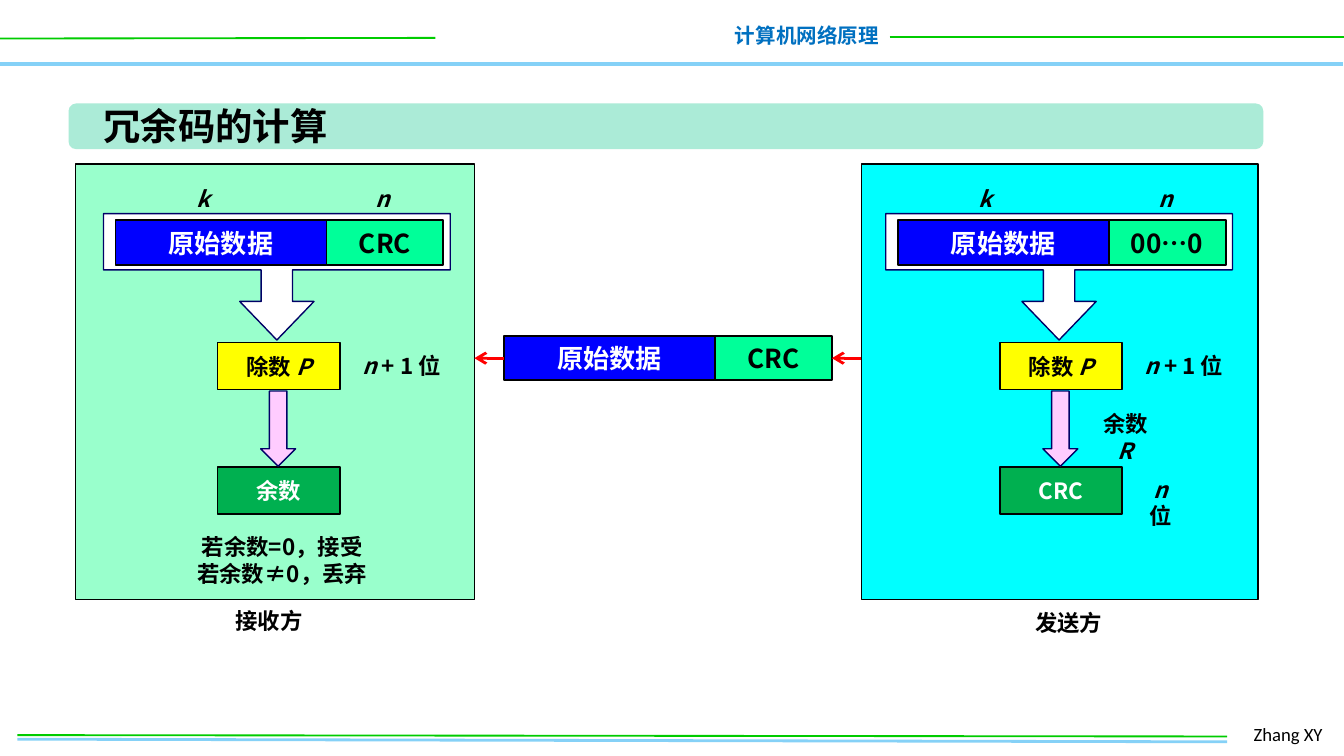
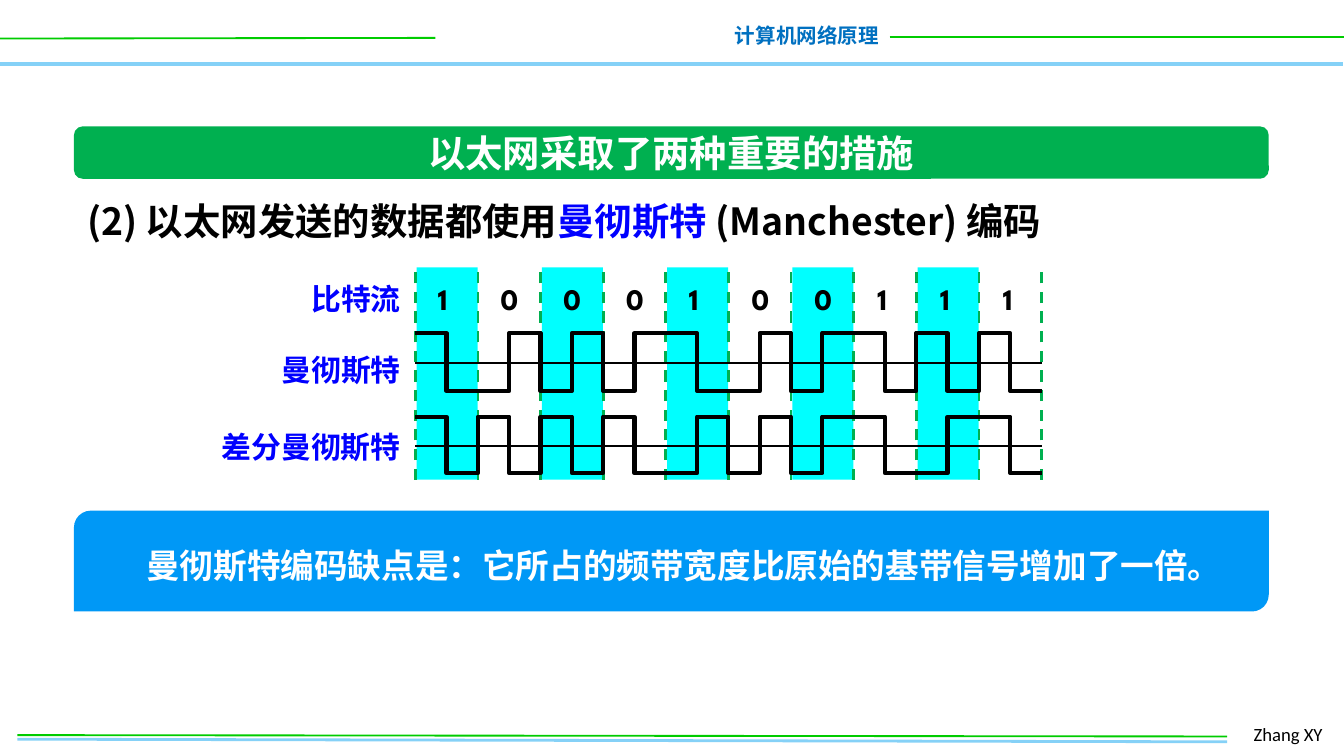
from dataclasses import dataclass, field
from itertools import accumulate
from typing import NamedTuple

from lxml import etree
from pptx import Presentation
from pptx.dml.color import RGBColor
from pptx.enum.dml import MSO_LINE as Dash
from pptx.enum.shapes import MSO_CONNECTOR as Conn, MSO_SHAPE as Kind
from pptx.enum.text import MSO_ANCHOR as Anchor, MSO_AUTO_SIZE as Auto, PP_ALIGN as Align
from pptx.oxml.ns import qn
from pptx.util import Emu, Inches, Pt

# Grid: 100 columns across 10 inches, square cells
CELL = Inches(10) / 100
COLS, ROWS = 100, 56.25

HAN, LATIN, DIGIT = "Noto Sans CJK SC", "Calibri", "League Spartan"
BLACK, WHITE, BLUE, CYAN = "000000", "FFFFFF", "0000FF", "00FFFF"
GREEN, LIME, SKY, MINT, NAVY = "00B050", "00CC00", "85D1F7", "00FF99", "000066"
RED, YELLOW, PINK, HEAD = "FF0000", "FFFF00", "FFCCFF", "0070C0"
BASE = {"size": Pt(12), "name": HAN, "bold": True, "italic": False}


class Box(NamedTuple):
    x: float
    y: float
    w: float
    h: float

    def move(self, dx: float):
        return self._replace(x=self.x + dx)


class Run(NamedTuple):
    text: str
    italic: bool = False
    color: str = ""


@dataclass
class Text:
    box: Box
    lines: list  # each line is a string or a list of runs
    align: Align = Align.LEFT
    wrap: bool = False
    color: str = BLACK
    pad: float = 1
    pitch: float = 0
    font: dict = field(default_factory=dict)


@dataclass
class Part:
    box: Box
    kind: Kind
    fill: str
    edge: str = ""
    width: float = 0.75
    adj: tuple = ()
    lines: tuple = ()
    color: str = BLACK
    size: float = 12


@dataclass
class Side:
    dx: float
    panel: Box
    fill: str
    check: str
    result: str
    name: Text


def cells(*vals: float) -> list:
    return [Emu(round(v * CELL)) for v in vals]


def rgb(code: str) -> RGBColor:
    return RGBColor.from_string(code)


def write(frame, lines, align: Align, color: str, font: dict, pitch: float = 0) -> None:
    for i, line in enumerate(lines):
        para = frame.paragraphs[0] if i == 0 else frame.add_paragraph()
        para.alignment = align
        if pitch:
            para.line_spacing = Pt(pitch)
        for part in [Run(line)] if isinstance(line, str) else line:
            run = para.add_run()
            run.text = part.text
            for key, val in {**BASE, **font, "italic": part.italic}.items():
                setattr(run.font, key, val)
            run.font.color.rgb = rgb(part.color or color)
            etree.SubElement(run.font._element, qn("a:ea")).set("typeface", HAN)


def label(slide, item: Text):
    shape = slide.shapes.add_textbox(*cells(*item.box))
    frame = shape.text_frame
    frame.word_wrap = item.wrap
    frame.auto_size = Auto.SHAPE_TO_FIT_TEXT
    frame.margin_left, frame.margin_right = cells(item.pad, item.pad)
    write(frame, item.lines, item.align, item.color, item.font, item.pitch)
    return shape


def draw(slide, item: Part):
    shape = slide.shapes.add_shape(item.kind, *cells(*item.box))
    shape.shadow.inherit = False
    shape.fill.solid()
    shape.fill.fore_color.rgb = rgb(item.fill)
    if item.edge:
        shape.line.color.rgb = rgb(item.edge)
        shape.line.width = Pt(item.width)
    else:
        shape.line.fill.background()
    for i, val in enumerate(item.adj):
        shape.adjustments[i] = val
    if item.lines:
        shape.text_frame.vertical_anchor = Anchor.MIDDLE
        write(shape.text_frame, item.lines, Align.CENTER, item.color,
              {"size": Pt(item.size)})
    return shape


def rule(slide, ends: tuple, color: str, width: float, dash=None, arrow: bool = False):
    line = slide.shapes.add_connector(Conn.STRAIGHT, *cells(*ends))
    line.line.color.rgb = rgb(color)
    line.line.width = Pt(width)
    if dash:
        line.line.dash_style = dash
    if arrow:
        etree.SubElement(line.line._get_or_add_ln(), qn("a:tailEnd")).set("type", "arrow")
    etree.SubElement(line._element.spPr, qn("a:effectLst"))
    return line


def base(deck):
    """Blank slide with the shared header and footer."""
    slide = deck.slides.add_slide(deck.slide_layouts[6])
    for ends, color, width in (
        ((-0.1, 4.75, 99.9, 4.75), SKY, 2),
        ((0, 2.87, 32.4, 2.82), LIME, 1),
        ((66.2, 2.74, 100.1, 2.74), LIME, 1),
        ((1.3, 55, 91.3, 55.2), SKY, 1.5),
        ((1.3, 54.7, 91.3, 54.8), LIME, 1),
    ):
        rule(slide, ends, color, width)
    label(slide, Text(Box(53.6, 1.2, 12.8, 2.9), ["计算机网络原理"], Align.RIGHT,
                      color=HEAD, font={"size": Pt(11)}))
    label(slide, Text(Box(92.3, 53.3, 7.4, 2.7), ["Zhang XY"], wrap=True,
                      font={"size": Pt(10), "name": LATIN, "bold": False}))
    return slide


def title(slide, bar: Box, fill: str, text: Text) -> None:
    draw(slide, Part(bar, Kind.ROUNDED_RECTANGLE, fill, adj=(0.167,)))
    text.font = {"size": Pt(20)}
    label(slide, text)


def strip(slide, x: float, y: float, check: str) -> tuple:
    """Data block followed by its check bits."""
    data = draw(slide, Part(Box(x, y, 15.7, 3.3), Kind.RECTANGLE, BLUE, BLACK, 1,
                            lines=("原始数据",), color=WHITE, size=14))
    code = draw(slide, Part(Box(x + 15.7, y, 8.7, 3.3), Kind.RECTANGLE, MINT, BLACK, 1,
                            lines=(check,), size=14))
    return data, code


def flow(slide, side: Side) -> None:
    """Division steps inside one panel."""
    dx = side.dx
    for x, mark in ((12.5, "k"), (25.9, "n")):
        label(slide, Text(Box(x + dx, 13.3, 5.2, 3), [[Run(mark, True)]], Align.CENTER))
    for part in (
        Part(Box(16.2, 25.5, 9.1, 3.5), Kind.RECTANGLE, YELLOW, BLACK,
             lines=([Run("除数 "), Run("P", True)],)),
        Part(Box(7.7, 15.9, 25.8, 9.4), Kind.DOWN_ARROW_CALLOUT, WHITE, NAVY,
             adj=(0.249, 0.294, 0.305, 0.445)),
        Part(Box(16.2, 34.75, 9.1, 3.5), Kind.RECTANGLE, GREEN, BLACK,
             lines=(side.result,), color=WHITE),
        Part(Box(19.4, 29.1, 2.6, 5.6), Kind.DOWN_ARROW, PINK, NAVY),
    ):
        part.box = part.box.move(dx)
        draw(slide, part)
    strip(slide, 8.6 + dx, 16.4, side.check)
    label(slide, Text(Box(25.6 + dx, 25.7, 8.6, 3), [[Run("n", True), Run(" + 1 位")]],
                      Align.CENTER))
    label(slide, side.name)


def crc(deck) -> None:
    slide = base(deck)
    sides = (
        Side(58.2, Box(64.1, 12.2, 29.5, 32.4), CYAN, "00…0", "CRC",
             Text(Box(75.9, 44.8, 7.1, 3), ["发送方"], Align.RIGHT)),
        Side(0, Box(5.6, 12.2, 29.7, 32.4), "99FFCC", "CRC", "余数",
             Text(Box(16.4, 44.7, 7.1, 3), ["接收方"], Align.RIGHT)),
    )
    for side in sides:
        draw(slide, Part(side.panel, Kind.RECTANGLE, side.fill, BLACK))
    title(slide, Box(5.1, 7.7, 88.9, 3.4), "ABEBD7",
          Text(Box(6.7, 7.2, 18.8, 4.4), ["冗余码的计算"]))
    for side in sides:
        flow(slide, side)

    # Notes beside the steps
    for item in (
        Text(Box(80.2, 30, 7.1, 3), [[Run("余数 "), Run("R", True)]], pad=1.5),
        Text(Box(83.7, 34.9, 5.3, 3), [[Run("n ", True), Run("位")]], pad=1.5),
        Text(Box(9, 39.2, 24, 5), ["若余数=0，接受", "若余数≠0，丢弃"]),
    ):
        item.align, item.wrap = Align.CENTER, True
        label(slide, item)

    # Frame on its way from sender to receiver
    data, code = strip(slide, 37.5, 25, "CRC")
    mid = 26.65
    rule(slide, (64.1, mid, 61.9, mid), RED, 1.5, arrow=True).end_connect(code, 3)
    rule(slide, (37.5, mid, 35.3, mid), RED, 1.5, arrow=True).begin_connect(data, 1)


BITS = "1000100111"
LEFT, STEP = 30.9, 4.66
EDGE = LEFT + STEP * len(BITS)


def wave(slide, highs: list, top: float, low: float) -> None:
    """Square wave with two half-bit levels for each bit."""
    half = STEP / 2
    dots = []
    for i, high in enumerate(highs):
        y = top if high else low
        dots += [cells(LEFT + i * half, y), cells(LEFT + (i + 1) * half, y)]
    path = slide.shapes.build_freeform(*dots[0])
    path.add_line_segments(dots[1:], close=False)
    shape = path.convert_to_shape()
    shape.shadow.inherit = False
    shape.fill.background()
    shape.line.color.rgb = rgb(BLACK)
    shape.line.width = Pt(2.25)


def signal(slide) -> None:
    for i in range(0, len(BITS), 2):
        draw(slide, Part(Box(LEFT + i * STEP + 0.1, 19.9, 4.55, 15.8),
                         Kind.RECTANGLE, CYAN))
    for i in range(len(BITS) + 1):
        x = LEFT + i * STEP
        rule(slide, (x, 35.7, x, 19.8), GREEN, 1.5, Dash.DASH)
    for i, bit in enumerate(BITS):
        label(slide, Text(Box(31.6 + 4.67 * i, 20.4, 3.3, 3.7), [bit],
                          font={"size": Pt(16), "name": DIGIT}))
    for name, x, y in (("比特流", 19.8, 20.4), ("曼彻斯特", 19.8, 25.7),
                       ("差分曼彻斯特", 13, 31.4)):
        label(slide, Text(Box(x, y, 30.8 - x, 3.7), [name], Align.RIGHT, color=BLUE,
                          font={"size": Pt(16), "name": LATIN}))

    # A 1 falls in mid-bit, a 0 rises
    plain = [high for bit in BITS for high in (bit == "1", bit == "0")]
    # Each bit flips in the middle, a 0 flips at its start too
    starts = accumulate(BITS[1:], lambda high, bit: high if bit == "0" else not high,
                        initial=True)
    diff = [level for high in starts for level in (high, not high)]
    for highs, top, low, mid in ((plain, 24.8, 29.1, 27), (diff, 31, 35.2, 33.2)):
        wave(slide, highs, top, low)
        rule(slide, (LEFT, mid, EDGE, mid), BLACK, 1)


def code(deck) -> None:
    slide = base(deck)
    label(slide, Text(Box(5.5, 13.8, 83.9, 4.5), [[
        Run("(2) 以太网发送的数据都使用"), Run("曼彻斯特 ", color=BLUE),
        Run("(Manchester) 编码")]], wrap=True, pitch=27, font={"size": Pt(20)}))
    title(slide, Box(5.5, 9.4, 88.9, 3.9), GREEN,
          Text(Box(30.3, 9.2, 39.3, 4.4), ["以太网采取了两种重要的措施"], Align.CENTER,
               color=WHITE))
    signal(slide)
    draw(slide, Part(Box(5.5, 38, 88.9, 7.5), Kind.ROUND_2_DIAG_RECTANGLE, "0098F6"))
    label(slide, Text(Box(9.9, 39.3, 81.6, 4.8),
                      ["曼彻斯特编码缺点是：它所占的频带宽度比原始的基带信号增加了一倍。"],
                      wrap=True, color=WHITE, pitch=27, font={"size": Pt(18)}))


def main() -> None:
    deck = Presentation()
    deck.slide_width, deck.slide_height = cells(COLS, ROWS)
    crc(deck)
    code(deck)
    deck.save("out.pptx")


if __name__ == "__main__":
    main()
